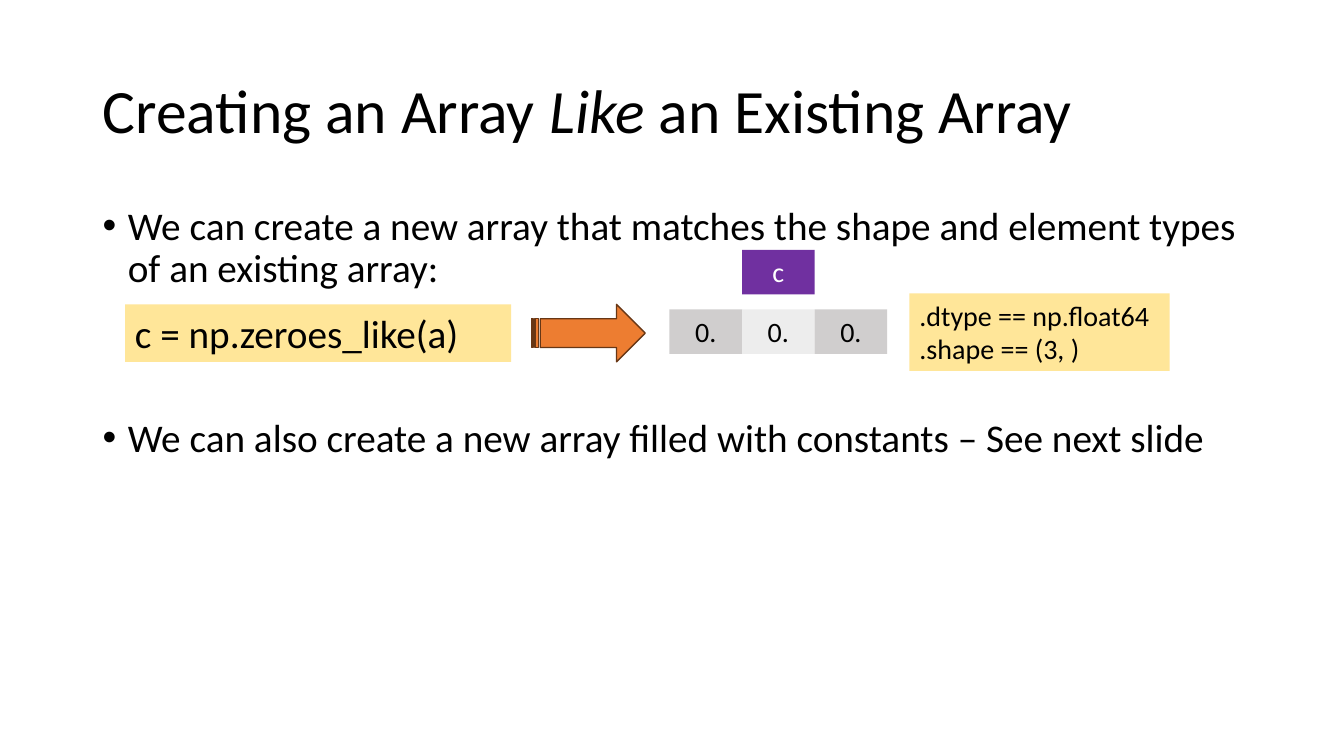
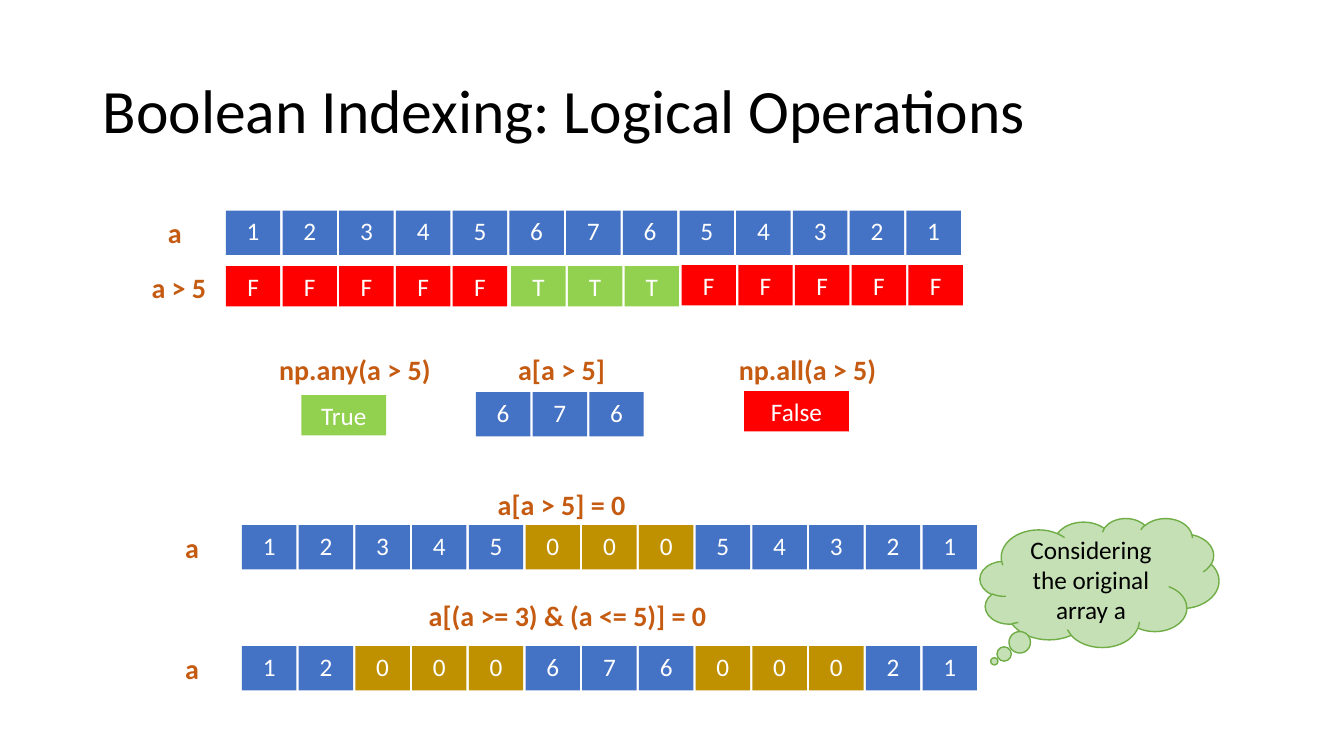
import pptx
import pptx.util
import pptx.dml.color
import pptx.enum.shapes
import pptx.enum.text
import lxml.etree

Inches = pptx.util.Inches
Pt = pptx.util.Pt
RGBColor = pptx.dml.color.RGBColor
SHAPE = pptx.enum.shapes.MSO_SHAPE
ALIGN = pptx.enum.text.PP_ALIGN
ANCHOR = pptx.enum.text.MSO_ANCHOR

BLACK = RGBColor(0x00, 0x00, 0x00)
WHITE = RGBColor(0xFF, 0xFF, 0xFF)
CREAM = RGBColor(0xFF, 0xE6, 0x99)
ORANGE = RGBColor(0xED, 0x7D, 0x31)
BROWN = RGBColor(0x68, 0x37, 0x15)
GRAY = RGBColor(0xD0, 0xCE, 0xCE)
PALE_GRAY = RGBColor(0xED, 0xED, 0xED)
PURPLE = RGBColor(0x70, 0x30, 0xA0)
BLUE = RGBColor(0x44, 0x72, 0xC4)
RED = RGBColor(0xFF, 0x00, 0x00)
GREEN = RGBColor(0x92, 0xD0, 0x50)
GOLD = RGBColor(0xBF, 0x90, 0x00)
RUST = RGBColor(0xC5, 0x5A, 0x11)
CLOUD_FILL = RGBColor(0xC5, 0xE0, 0xB4)
CLOUD_LINE = RGBColor(0x70, 0xAD, 0x47)

TITLE = {"size": Pt(44)}
BODY = {"size": Pt(28)}
NOTE = {"size": Pt(20)}
CELL = {"size": Pt(18)}
LABEL = {"size": Pt(20), "bold": True}
CENTER = {"alignment": ALIGN.CENTER}
LEFT = {"alignment": ALIGN.LEFT}
TIGHT = {"alignment": ALIGN.LEFT, "line_spacing": 0.9}
PITCH = 6.75 / 12


def add_box(page, at, lines, font, color, layout=CENTER, fill=None, line=None,
            kind=SHAPE.RECTANGLE, anchor=ANCHOR.TOP):
    place = [Inches(length) for length in at]
    if fill is None:
        box = page.shapes.add_textbox(*place)
    else:
        box = page.shapes.add_shape(kind, *place)
        box.shadow.inherit = False
        box.fill.solid()
        box.fill.fore_color.rgb = fill
        if line is None:
            box.line.fill.background()
        else:
            box.line.color.rgb = line
            box.line.width = Pt(1)
    frame = box.text_frame
    frame.word_wrap = True
    frame.vertical_anchor = anchor
    for index, text in enumerate(lines):
        para = frame.add_paragraph() if index else frame.paragraphs[0]
        for name, value in layout.items():
            setattr(para, name, value)
        for position, piece in enumerate(text.split("*")):
            span = para.add_run()
            span.text = piece
            values = {"name": "Calibri", "italic": position % 2 == 1, **font}
            for name, value in values.items():
                setattr(span.font, name, value)
            span.font.color.rgb = color
    return box


def add_row(page, left, top, values, fill, height=0.44):
    for index, value in enumerate(values):
        cell_fill = GOLD if value == "0" else fill
        add_box(page, (left + index * PITCH, top, 0.54, height), [value], CELL, WHITE, fill=cell_fill)


deck = pptx.Presentation()
deck.slide_width = Inches(13.33)
deck.slide_height = Inches(7.5)

pages = []
for heading in ("Creating an Array *Like* an Existing Array",
                "Boolean Indexing: Logical Operations"):
    page = deck.slides.add_slide(deck.slide_layouts[6])
    add_box(page, (0.92, 0.4, 11.5, 1.45), [heading], TITLE, BLACK, TIGHT, anchor=ANCHOR.MIDDLE)
    pages.append(page)
like_page, boolean_page = pages

bullets = add_box(like_page, (0.92, 2, 11.5, 4.76), [
    "We can create a new array that matches the shape and element types of an existing array:",
    "We can also create a new array filled with constants – See next slide",
], BODY, BLACK, TIGHT)
for para, gap in zip(bullets.text_frame.paragraphs, (10, 91)):
    para.space_before = Pt(gap)
    properties = para._p.get_or_add_pPr()
    properties.set("marL", str(Inches(0.25)))
    properties.set("indent", str(-Inches(0.25)))
    for tag, attribute, value in (("buFont", "typeface", "Arial"), ("buChar", "char", "•")):
        mark = lxml.etree.SubElement(properties, pptx.oxml.ns.qn("a:" + tag))
        mark.set(attribute, value)

add_box(like_page, (1.24, 3.02, 3.83, 0.57), ["c = np.zeroes_like(a)"], BODY, BLACK, LEFT, CREAM)
add_box(like_page, (5.27, 3.02, 1.13, 0.57), [], BODY, BLACK, fill=ORANGE, line=BROWN,
        kind=SHAPE.STRIPED_RIGHT_ARROW)
for index, fill in enumerate((GRAY, PALE_GRAY, GRAY)):
    add_box(like_page, (6.64 + index * 0.72, 3.07, 0.72, 0.44), ["0."], NOTE, BLACK, fill=fill)
add_box(like_page, (7.36, 2.48, 0.72, 0.44), ["c"], NOTE, WHITE, fill=PURPLE)
add_box(like_page, (9.02, 2.91, 2.58, 0.77), [".dtype == np.float64", ".shape == (3, )"],
        NOTE, BLACK, LEFT, CREAM)

for left, top, values, fill, height in (
    (2.24, 2.09, "1234567654321", BLUE, 0.44),
    (2.24, 2.64, "FFFFF", RED, 0.4),
    (5.07, 2.64, "TTT", GREEN, 0.4),
    (6.76, 2.63, "FFFFF", RED, 0.4),
    (4.72, 3.89, "676", BLUE, 0.44),
    (2.4, 5.21, "1234500054321", BLUE, 0.44),
    (2.4, 6.41, "1200067600021", BLUE, 0.44),
):
    add_row(boolean_page, left, top, values, fill, height)

for left, top, width, text in (
    (1.32, 2.09, 0.83, "a"),
    (1.36, 2.63, 0.83, "a > 5"),
    (2.56, 3.45, 1.92, "np.any(a > 5)"),
    (4.61, 3.45, 1.92, "a[a > 5]"),
    (7.05, 3.45, 1.92, "np.all(a > 5)"),
    (4.61, 4.79, 1.92, "a[a > 5] = 0"),
    (1.49, 5.21, 0.83, "a"),
    (4.01, 5.89, 3.24, "a[(a >= 3) & (a <= 5)] = 0"),
    (1.49, 6.41, 0.83, "a"),
):
    add_box(boolean_page, (left, top, width, 0.44), [text], LABEL, RUST)

add_box(boolean_page, (2.99, 3.92, 0.84, 0.4), ["True"], CELL, WHITE, fill=GREEN)
add_box(boolean_page, (7.38, 3.88, 1.04, 0.4), ["False"], CELL, WHITE, fill=RED)

cloud = add_box(boolean_page, (9.72, 5.14, 2.37, 1.28), ["Considering the original array a"],
                CELL, BLACK, fill=CLOUD_FILL, line=CLOUD_LINE,
                kind=SHAPE.CLOUD_CALLOUT, anchor=ANCHOR.MIDDLE)
cloud.adjustments[0] = -0.44
cloud.adjustments[1] = 0.61

deck.save("out.pptx")
